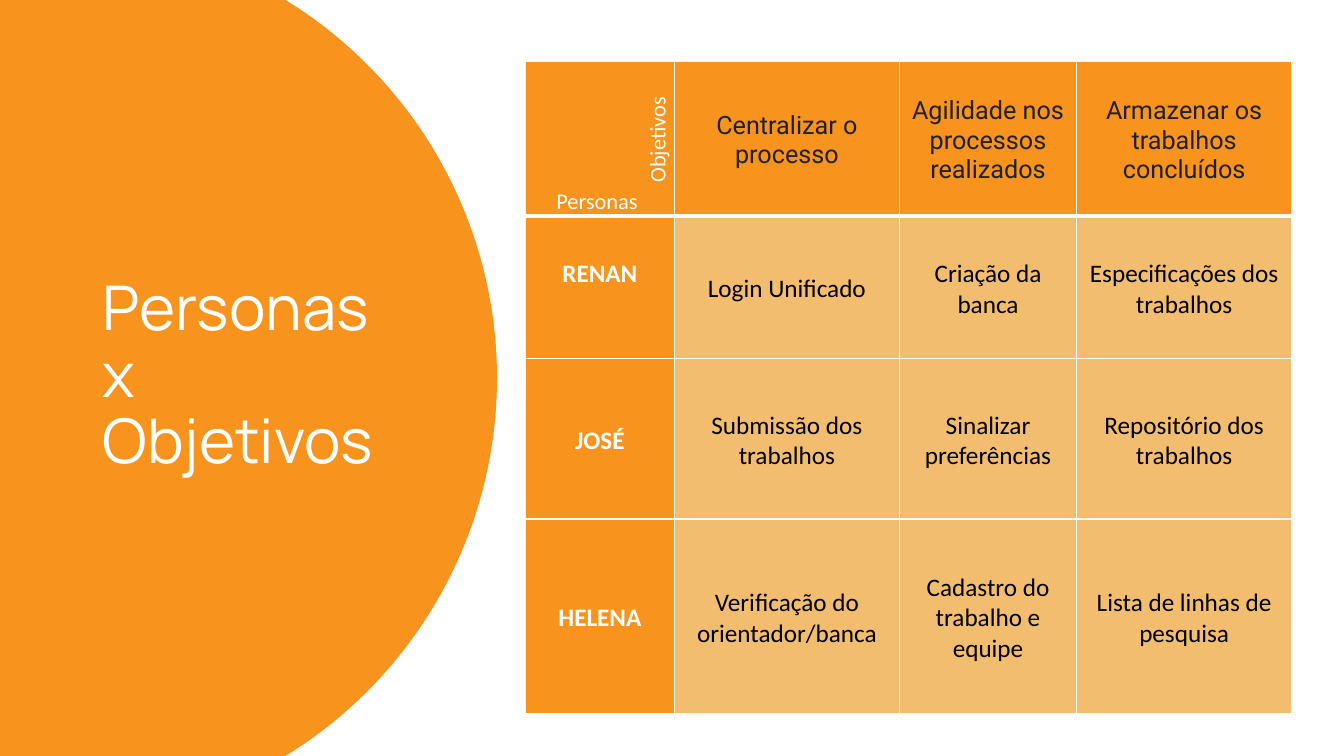
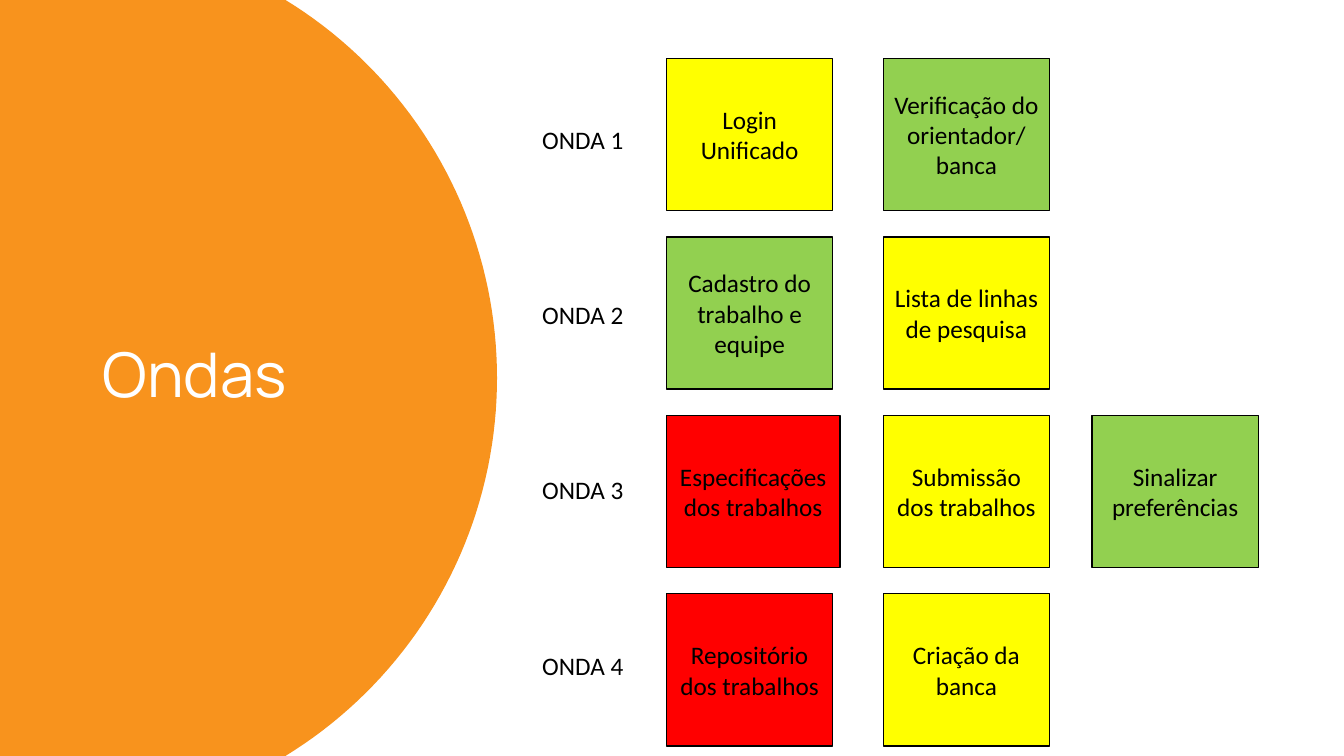
import math

import lxml.etree
import pptx
import pptx.dml.color
import pptx.enum.shapes
import pptx.enum.text
import pptx.oxml.ns
import pptx.util

Inches, Pt = pptx.util.Inches, pptx.util.Pt
ALIGN = pptx.enum.text.PP_ALIGN
ANCHOR = pptx.enum.text.MSO_ANCHOR
SLIDE_W, SLIDE_H = 13.33, 7.5
COLORS = {
    "orange": "F8931D", "sand": "F2BD6E", "white": "FFFFFF", "black": "000000",
    "ink": "202124", "yellow": "FFFF00", "green": "92D050", "red": "FF0000",
}


def rgb(name):
    return pptx.dml.color.RGBColor.from_string(COLORS[name])


def paint(target, color):
    target.fill.solid()
    target.fill.fore_color.rgb = rgb(color)


def write(frame, text, color, size=18, font="Calibri", bold=False, align=ALIGN.LEFT, spacing=None):
    """Fill a text frame, one paragraph per line of text."""
    frame.word_wrap = True
    for number, line in enumerate(text.split("\n")):
        paragraph = frame.add_paragraph() if number else frame.paragraphs[0]
        paragraph.alignment = align
        if spacing:
            paragraph.line_spacing = spacing
        run = paragraph.add_run()
        run.text = line
        run.font.name, run.font.size, run.font.bold = font, Pt(size), bold
        run.font.color.rgb = rgb(color)


def add_label(slide, box, text, color, anchor=ANCHOR.TOP, **style):
    label = slide.shapes.add_textbox(*map(Inches, box))
    label.text_frame.vertical_anchor = anchor
    write(label.text_frame, text, color, **style)
    return label


# Shared: orange panel with a circular right edge, and the slide title
def add_title_panel(slide, title, box=(0, 0, 4.93, SLIDE_H)):
    left, top, width, height = box
    radius, steps = 4.4, 80
    center_x, center_y = left + width - radius, top + height / 2
    sweep = math.asin(height / 2 / radius)
    angles = [sweep * (2 * step / steps - 1) for step in range(steps + 1)]
    arc = [(Inches(center_x + radius * math.cos(a)), Inches(center_y + radius * math.sin(a)))
           for a in angles]
    outline = slide.shapes.build_freeform(Inches(left), Inches(top))
    outline.add_line_segments(arc + [(Inches(left), Inches(top + height))], close=True)
    panel = outline.convert_to_shape()
    panel.shadow.inherit = False
    paint(panel, "orange")
    panel.line.fill.background()
    add_label(slide, (left + 0.92, top + 0.7, 3.23, 6.09), title, "white",
              anchor=ANCHOR.MIDDLE, size=44, font="Manrope", spacing=0.9)


# Personas and goals table
def set_borders(cell, bottom_width):
    properties = cell._tc.get_or_add_tcPr()
    for side, width in (("L", 1), ("R", 1), ("T", 1), ("B", bottom_width)):
        border = lxml.etree.SubElement(properties, pptx.oxml.ns.qn(f"a:ln{side}"), w=str(Pt(width)))
        fill = lxml.etree.SubElement(border, pptx.oxml.ns.qn("a:solidFill"))
        lxml.etree.SubElement(fill, pptx.oxml.ns.qn("a:srgbClr"), val=COLORS["white"])


def add_goals_table(slide, left, top):
    goals = [
        ["", "Centralizar o processo", "Agilidade nos processos realizados",
         "Armazenar os trabalhos concluídos"],
        ["RENAN", "Login Unificado", "Criação da banca", "Especificações dos trabalhos"],
        ["JOSÉ", "Submissão dos trabalhos", "Sinalizar preferências", "Repositório dos trabalhos"],
        ["HELENA", "Verificação do orientador/banca", "Cadastro do trabalho e equipe",
         "Lista de linhas de pesquisa"],
    ]
    widths, heights = [1.48, 2.23, 1.76, 2.13], [1.53, 1.42, 1.59, 1.93]
    table = slide.shapes.add_table(len(heights), len(widths), Inches(left), Inches(top),
                                   Inches(sum(widths)), Inches(sum(heights))).table
    table.first_row = table.horz_banding = False
    for column, width in zip(table.columns, widths):
        column.width = Inches(width)
    for row, height in zip(table.rows, heights):
        row.height = Inches(height)
    for r, texts in enumerate(goals):
        for c, text in enumerate(texts):
            cell = table.cell(r, c)
            set_borders(cell, 3 if r == 0 else 1)
            paint(cell, "orange" if r == 0 or c == 0 else "sand")
            cell.vertical_anchor = ANCHOR.MIDDLE
            cell.margin_left = cell.margin_right = cell.margin_top = Inches(0.07)
            cell.margin_bottom = Inches(0.33 if text == "RENAN" else 0.03)
            if text:
                color = "ink" if r == 0 else "white" if c == 0 else "black"
                write(cell.text_frame, text, color, font="Calibri" if r else "Roboto",
                      bold=c == 0, align=ALIGN.CENTER)

    # Axis names in the corner cell
    add_label(slide, (left + 0.21, top + 1.2, 1.81, 0.37), "Personas", "white", size=16)
    goals_axis = add_label(slide, (left + 0.4, top + 0.21, 1.81, 0.37), "Objetivos", "white", size=16)
    goals_axis.rotation = 270


# Delivery waves: one labelled row of feature cards each
def add_card(slide, box, text, color):
    card = slide.shapes.add_shape(pptx.enum.shapes.MSO_SHAPE.RECTANGLE, *map(Inches, box))
    card.shadow.inherit = False
    paint(card, color)
    card.line.color.rgb = rgb("black")
    card.line.width = Pt(1)
    card.text_frame.vertical_anchor = ANCHOR.MIDDLE
    write(card.text_frame, text, "black", align=ALIGN.CENTER)


def add_waves(slide, left, top):
    waves = [
        [("Login Unificado", "yellow"), ("Verificação do orientador/\nbanca", "green")],
        [("Cadastro do trabalho e equipe", "green"), ("Lista de linhas de pesquisa", "yellow")],
        [("Especificações dos trabalhos", "red"), ("Submissão dos trabalhos", "yellow"),
         ("Sinalizar preferências", "green")],
        [("Repositório dos trabalhos", "red"), ("Criação da banca", "yellow")],
    ]
    card_offsets, card_pitch, label_pitch = [1.33, 3.48, 5.55], 1.77, 1.74
    for number, features in enumerate(waves):
        add_label(slide, (left, top + 0.6 + number * label_pitch, 1.46, 0.4),
                  f"ONDA {number + 1}", "black")
        for offset, (feature, color) in zip(card_offsets, features):
            width = 1.72 if feature.startswith("Especificações") else 1.65
            add_card(slide, (left + offset, top + number * card_pitch, width, 1.51), feature, color)


deck = pptx.Presentation()
deck.slide_width, deck.slide_height = Inches(SLIDE_W), Inches(SLIDE_H)
for title, add_content, left, top in (
    ("Personas x Objetivos", add_goals_table, 5.21, 0.61),
    ("Ondas", add_waves, 5.28, 0.58),
):
    slide = deck.slides.add_slide(deck.slide_layouts[6])
    add_title_panel(slide, title)
    add_content(slide, left, top)
deck.save("out.pptx")
